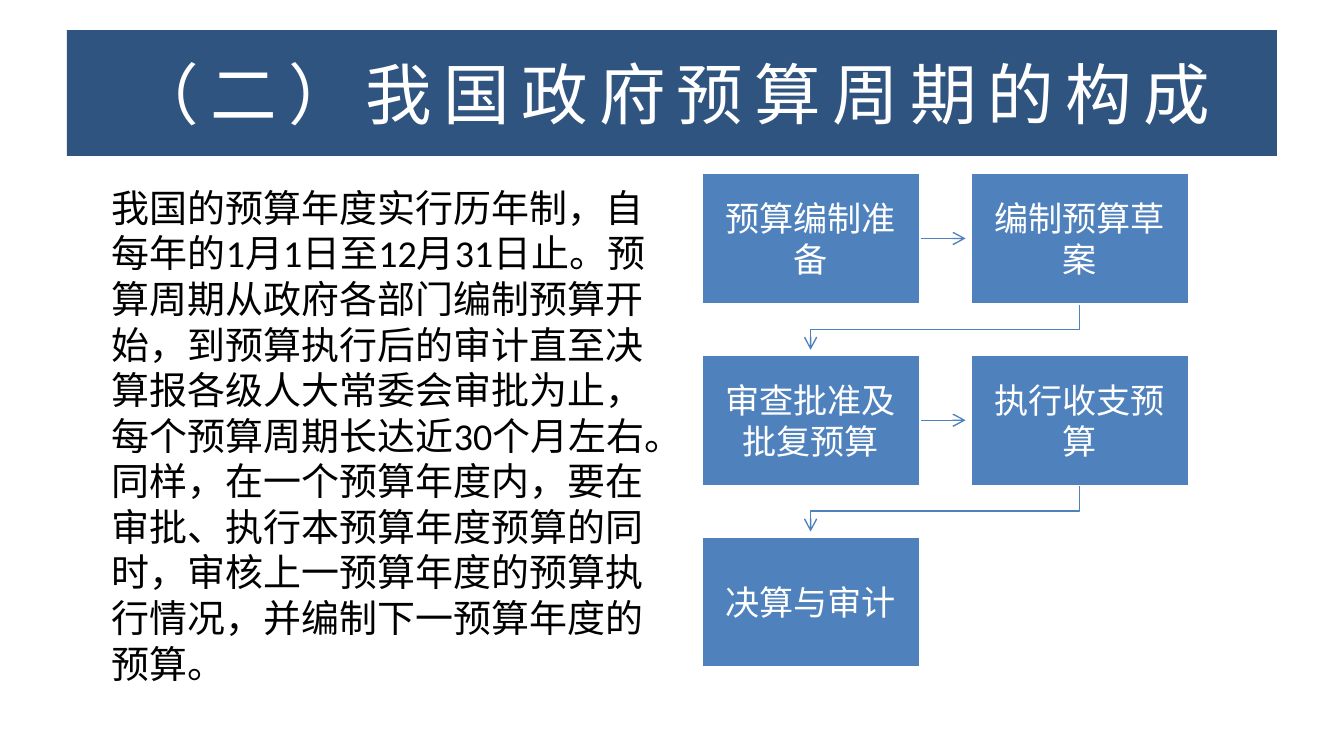
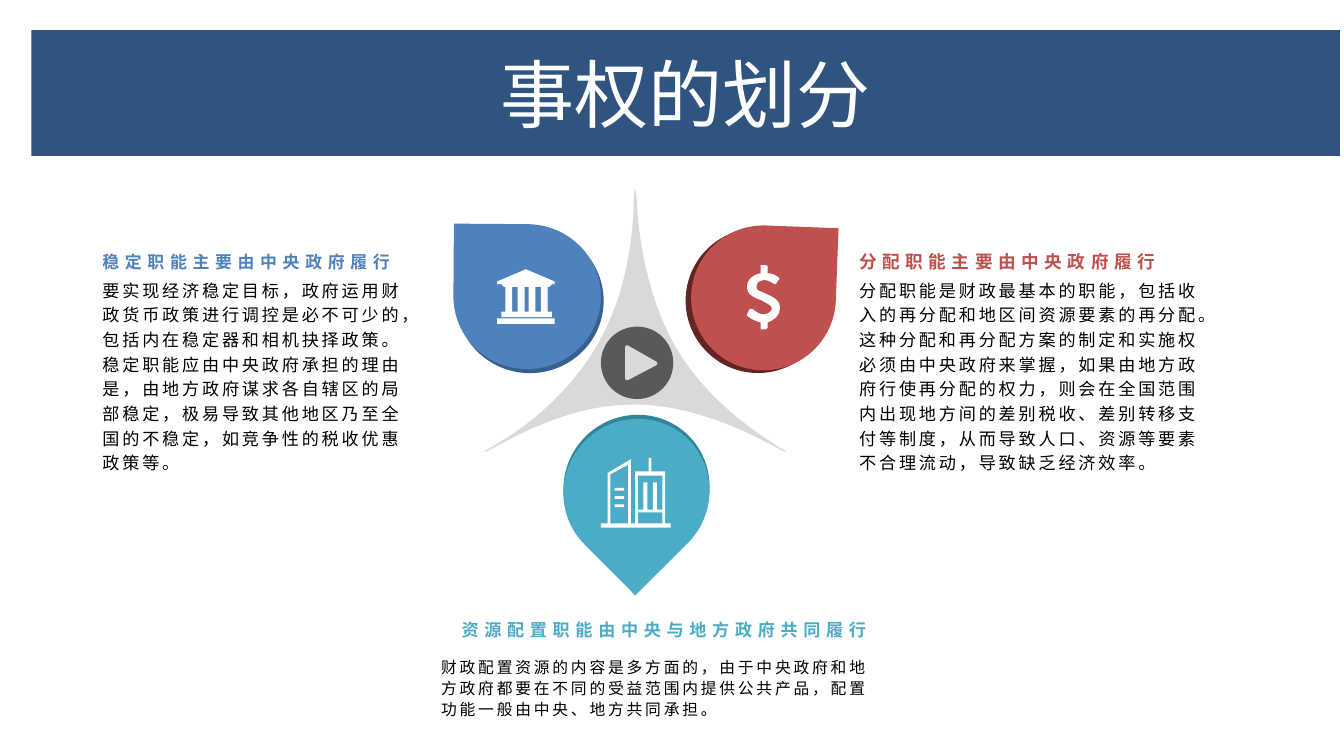
from pptx import Presentation
from pptx.dml.color import RGBColor
from pptx.enum.shapes import MSO_CONNECTOR, MSO_SHAPE as SHAPE
from pptx.enum.text import MSO_ANCHOR as ANCHOR, PP_ALIGN as ALIGN
from pptx.oxml.ns import qn
from pptx.util import Inches, Pt
from lxml.etree import SubElement

# Shared style
W, H = 9.84, 5.51
NAVY, BLUE, RED, TEAL = "305480", "4F81BD", "C0504D", "4BACC6"
WHITE, BLACK, PALE, GREY = "FFFFFF", "000000", "D9D9D9", "595959"
SANS, BODY = "Noto Sans CJK SC", "Calibri"
BAND_TOP, BAND_H = 0.22, 0.92

# Flow grid on slide 1
GRID_X, GRID_Y, BOX_W, BOX_H, GAP = 5.13, 1.26, 1.61, 0.97, 0.36
STEPS = ["预算编制准备", "编制预算草案", "审查批准及批复预算", "执行收支预算", "决算与审计"]

CYCLE = ("我国的预算年度实行历年制，自每年的1月1日至12月31日止。预算周期从政府各部门编制预算开始，"
         "到预算执行后的审计直至决算报各级人大常委会审批为止，每个预算周期长达近30个月左右。"
         "同样，在一个预算年度内，要在审批、执行本预算年度预算的同时，审核上一预算年度的预算执行情况，"
         "并编制下一预算年度的预算。")

# Heading, its box, size, line spacing, colour; body, its box, size, line spacing
FUNCTIONS = [
    ("稳定职能主要由中央政府履行", (0.68, 1.67, 2.42, 0.32), 8.9, 1, BLUE,
     "要实现经济稳定目标，政府运用财政货币政策进行调控是必不可少的，包括内在稳定器和相机抉择政策。"
     "稳定职能应由中央政府承担的理由是，由地方政府谋求各自辖区的局部稳定，极易导致其他地区乃至全国的不稳定，"
     "如竞争性的税收优惠政策等。", (0.68, 2.02, 2.44, 0.51), 9, 1.2),
    ("分配职能主要由中央政府履行", (6.22, 1.67, 2.65, 0.32), 9.3, 1.2, RED,
     "分配职能是财政最基本的职能，包括收入的再分配和地区间资源要素的再分配。"
     "这种分配和再分配方案的制定和实施权必须由中央政府来掌握，如果由地方政府行使再分配的权力，"
     "则会在全国范围内出现地方间的差别税收、差别转移支付等制度，从而导致人口、资源等要素不合理流动，"
     "导致缺乏经济效率。", (6.22, 2.02, 2.65, 0.51), 9, 1.2),
    ("资源配置职能由中央与地方政府共同履行", (3.31, 4.36, 3.17, 0.32), 9, 1.2, TEAL,
     "财政配置资源的内容是多方面的，由于中央政府和地方政府都要在不同的受益范围内提供公共产品，"
     "配置功能一般由中央、地方共同承担。", (3.16, 4.8, 3.32, 0.51), 8.3, 1.1),
]

# Left, top, width, height, rotation, colour: each shade lies under its drop
DROPS = [
    (3.35, 1.66, 1.06, 1.08, 270.4, "376092"), (3.33, 1.63, 1.06, 1.08, 270.4, BLUE),
    (5.02, 1.67, 1.06, 1.06, 2.2, "632523"), (5.06, 1.65, 1.06, 1.06, 2.2, RED),
    (4.12, 3.04, 1.08, 1.06, 135.1, "31859C"), (4.12, 3.07, 1.08, 1.06, 135.1, TEAL),
]

# Outlines: a pair is a corner, six numbers are a Bézier curve
STAR = [(4.65, 1.38), (4.66, 1.43), (4.67, 1.72, 4.73, 2.15, 4.94, 2.53),
        (5.16, 2.91, 5.5, 3.15, 5.75, 3.3), (5.76, 3.31), (5.73, 3.3),
        (5.48, 3.16, 5.07, 2.96, 4.64, 2.96), (4.2, 2.96, 3.83, 3.16, 3.57, 3.3),
        (3.54, 3.31), (3.55, 3.3), (3.81, 3.16, 4.15, 2.91, 4.37, 2.53),
        (4.59, 2.15, 4.64, 1.73, 4.64, 1.43)]
DOLLAR = [(5.62, 2.36), (5.62, 2.4), (5.61, 2.41), (5.57, 2.41), (5.57, 2.36),
          (5.5, 2.34, 5.47, 2.31, 5.47, 2.31), (5.47, 2.3), (5.49, 2.26), (5.51, 2.26),
          (5.51, 2.26, 5.55, 2.3, 5.59, 2.3), (5.62, 2.3, 5.65, 2.28, 5.65, 2.26),
          (5.65, 2.23, 5.61, 2.22, 5.58, 2.2), (5.53, 2.18, 5.47, 2.16, 5.47, 2.1),
          (5.47, 2.05, 5.51, 2.01, 5.57, 2), (5.57, 1.94), (5.61, 1.94), (5.62, 1.95),
          (5.62, 2), (5.67, 2, 5.7, 2.03, 5.7, 2.03), (5.71, 2.04, 5.71, 2.04, 5.7, 2.05),
          (5.68, 2.08), (5.67, 2.08), (5.67, 2.08, 5.63, 2.05, 5.6, 2.05),
          (5.56, 2.05, 5.54, 2.07, 5.54, 2.1), (5.54, 2.13, 5.57, 2.13, 5.61, 2.15),
          (5.65, 2.17, 5.71, 2.19, 5.71, 2.25), (5.71, 2.31, 5.67, 2.34, 5.62, 2.36)]
ROOF = [(3.85, 1.97), (4.06, 2.06), (4.06, 2.08), (4.04, 2.08), (4.02, 2.1),
        (3.69, 2.1), (3.67, 2.08), (3.64, 2.08), (3.64, 2.06)]
TOWERS = [(4.91, 3.86), (4.4, 3.86), (4.4, 3.83), (4.45, 3.83), (4.45, 3.46), (4.62, 3.36),
          (4.62, 3.83), (4.65, 3.83), (4.65, 3.45), (4.75, 3.45), (4.75, 3.35), (4.77, 3.35),
          (4.77, 3.45), (4.87, 3.45), (4.87, 3.83), (4.91, 3.83)]
LEFT_INSIDE = [(4.6, 3.4), (4.47, 3.47), (4.47, 3.83), (4.6, 3.83)]
RIGHT_INSIDE = [(4.85, 3.48), (4.67, 3.48), (4.67, 3.73), (4.71, 3.73), (4.71, 3.53),
                (4.74, 3.53), (4.74, 3.73), (4.78, 3.73), (4.78, 3.53), (4.81, 3.53),
                (4.81, 3.73), (4.85, 3.73)]


def rgb(color):
    return RGBColor.from_string(color)


def inches(*lengths):
    return [Inches(v) for v in lengths]


def paint(sp, fill=None, line=None, width=0.75):
    sp.shadow.inherit = False
    if fill:
        sp.fill.solid()
        sp.fill.fore_color.rgb = rgb(fill)
    else:
        sp.fill.background()
    if line:
        sp.line.color.rgb = rgb(line)
        sp.line.width = Pt(width)
    else:
        sp.line.fill.background()
    return sp


def add_shape(s, kind, box, fill, line=None, width=0.75):
    return paint(s.shapes.add_shape(kind, *inches(*box)), fill, line, width)


def write(sp, text, size, color, font=SANS, bold=False, spc=0, align=ALIGN.LEFT,
          anchor=ANCHOR.TOP, insets=(0.1, 0.05, 0.1, 0.05), spacing=1):
    tf = sp.text_frame
    tf.word_wrap = True
    tf.vertical_anchor = anchor
    tf.margin_left, tf.margin_top, tf.margin_right, tf.margin_bottom = inches(*insets)
    p = tf.paragraphs[0]
    p.text = text
    p.alignment = align
    p.line_spacing = spacing
    p.font.size, p.font.bold, p.font.name = Pt(size), bold, font
    p.font.color.rgb = rgb(color)
    props = p._p.pPr.find(qn("a:defRPr"))
    SubElement(props, qn("a:ea")).set("typeface", font)
    props.set("spc", str(int(spc * 100)))


def add_text(s, box, text, size, color, **style):
    write(s.shapes.add_textbox(*inches(*box)), text, size, color, **style)


def add_title(s, left, width, text, size, font, spc=0):
    band = add_shape(s, SHAPE.RECTANGLE, (left, BAND_TOP, width, BAND_H), NAVY)
    write(band, text, size, WHITE, font=font, spc=spc, align=ALIGN.CENTER,
          anchor=ANCHOR.MIDDLE, insets=(0.09, 0.04, 0.09, 0.04))


def flatten(outline, steps=12):
    """Turn corners and curves into a list of points."""
    points = []
    for part in outline:
        if len(part) == 2:
            points.append(part)
            continue
        ends = [points[-1], part[:2], part[2:4], part[4:]]
        for i in range(1, steps + 1):
            t = i / steps
            weights = ((1 - t) ** 3, 3 * t * (1 - t) ** 2, 3 * t * t * (1 - t), t ** 3)
            points.append(tuple(sum(w * e[k] for w, e in zip(weights, ends)) for k in (0, 1)))
    return points


def add_outline(s, contours, fill=None, line=None, close=True):
    paths = [[inches(*pt) for pt in flatten(c)] for c in contours]
    builder = s.shapes.build_freeform(*paths[0][0], scale=1.0)
    for i, points in enumerate(paths):
        if i:
            builder.move_to(*points[0])
        builder.add_line_segments(points[1:], close=close)
    return paint(builder.convert_to_shape(), fill, line)


def rect(left, top, right, bottom):
    return [(left, top), (right, top), (right, bottom), (left, bottom)]


def add_arrowhead(sp):
    SubElement(sp.line._get_or_add_ln(), qn("a:tailEnd")).set("type", "arrow")


def add_flow(s):
    for i, text in enumerate(STEPS):
        row, col = divmod(i, 2)
        x, y = GRID_X + col * (BOX_W + GAP), GRID_Y + row * (BOX_H + GAP)
        box = add_shape(s, SHAPE.RECTANGLE, (x, y, BOX_W, BOX_H), BLUE, WHITE, 2)
        write(box, text, 18, WHITE, font=BODY, align=ALIGN.CENTER,
              anchor=ANCHOR.MIDDLE, insets=(0.14,) * 4)
        if i == len(STEPS) - 1:
            break
        if col == 0:  # across to the next column
            mid = y + BOX_H / 2
            arrow = s.shapes.add_connector(
                MSO_CONNECTOR.STRAIGHT, *inches(x + BOX_W, mid, x + BOX_W + GAP - 0.03, mid))
            arrow.begin_connect(box, 3)
            arrow.line.color.rgb = rgb(BLUE)
            arrow.line.width = Pt(0.75)
            SubElement(arrow._element.spPr, qn("a:effectLst"))
        else:  # back to the first column, one row down
            start, end = x + BOX_W / 2, GRID_X + BOX_W / 2
            top, turn = y + BOX_H, y + BOX_H + GAP / 2
            arrow = add_outline(s, [[(start, top), (start, turn), (end, turn),
                                     (end, top + GAP - 0.03)]], line=BLUE, close=False)
        add_arrowhead(arrow)


def add_icons(s):
    # Bank
    columns = [rect(x, 2.1, x + 0.05, 2.28) for x in (3.7, 3.79, 3.87, 3.96)]
    steps = [rect(3.67, 2.28, 4.04, 2.32), rect(3.64, 2.33, 4.06, 2.37)]
    add_outline(s, [ROOF] + columns + steps, WHITE)
    # Dollar sign
    add_outline(s, [DOLLAR], WHITE)
    # Office towers
    windows = [rect(4.5, y, 4.57, y + 0.02) for y in (3.57, 3.63, 3.69)]
    add_outline(s, [TOWERS, LEFT_INSIDE, RIGHT_INSIDE, rect(4.67, 3.75, 4.85, 3.83)] + windows,
                WHITE)
    # Play button
    add_shape(s, SHAPE.OVAL, (4.4, 2.39, 0.53, 0.53), GREY)
    add_outline(s, [[(4.59, 2.54), (4.8, 2.66), (4.59, 2.77)]], PALE, PALE).line.width = Pt(2)


def build_cycle(s):
    add_text(s, (0.72, 1.3, 4.21, 3.8), CYCLE, 20, BLACK, font=BODY)
    add_flow(s)
    add_title(s, 0.49, 8.86, "（二）我国政府预算周期的构成", 35.1, SANS, 6)


def build_powers(s):
    add_outline(s, [STAR], PALE)
    for *box, angle, color in DROPS:
        add_shape(s, SHAPE.TEAR, box, color).rotation = angle
    add_icons(s)
    for head, head_box, head_size, head_ls, color, body, body_box, size, ls in FUNCTIONS:
        add_text(s, head_box, head, head_size, color, bold=True, spc=3, spacing=head_ls,
                 anchor=ANCHOR.BOTTOM, insets=(0.07, 0.04, 0.07, 0))
        add_text(s, body_box, body, size, BLACK, spc=1.5, spacing=ls,
                 insets=(0.07, 0, 0.07, 0.04))
    add_title(s, 0.23, 9.58, "事权的划分", 39, BODY)


def main():
    prs = Presentation()
    prs.slide_width, prs.slide_height = inches(W, H)
    for build in (build_cycle, build_powers):
        build(prs.slides.add_slide(prs.slide_layouts[6]))
    prs.save("out.pptx")


if __name__ == "__main__":
    main()
